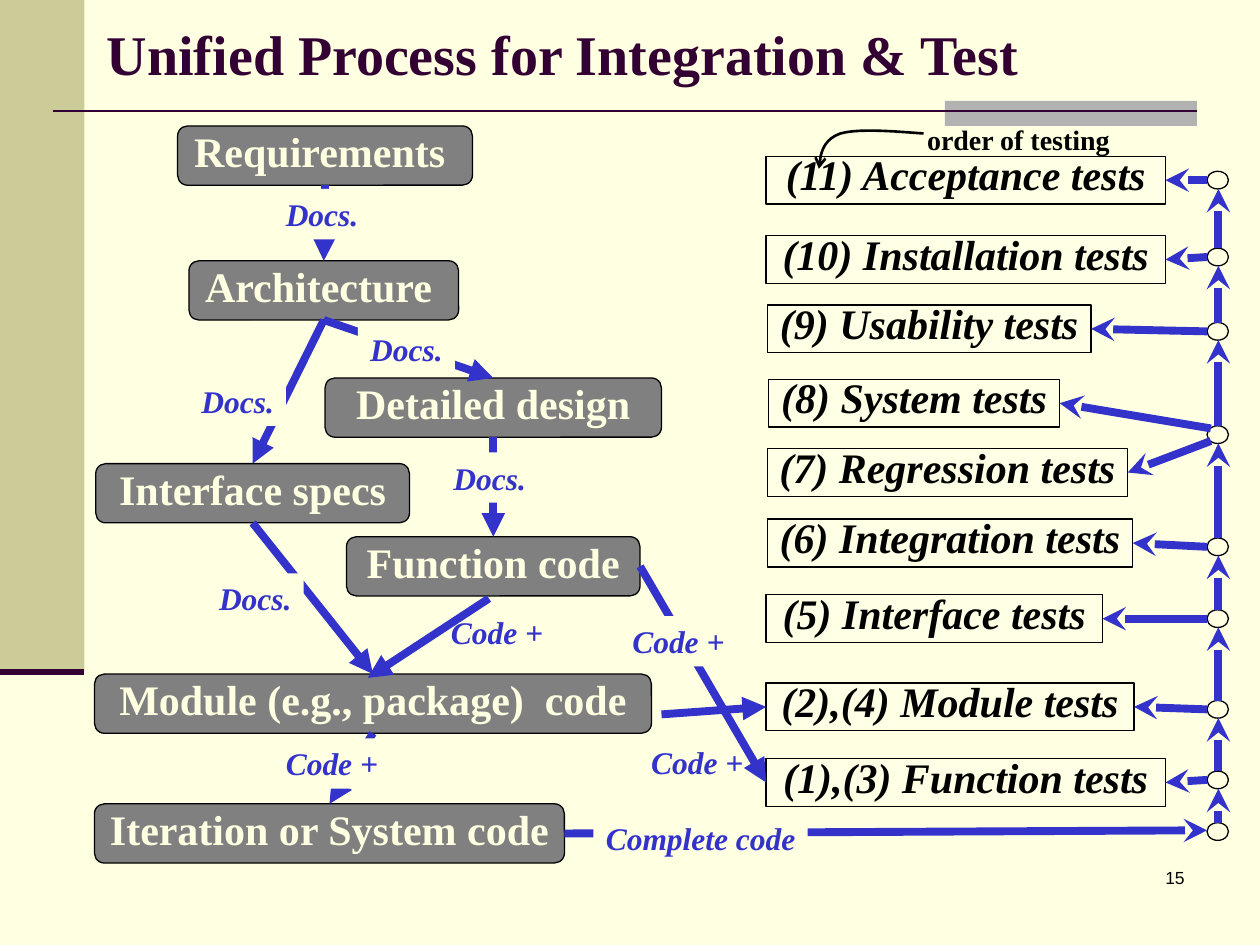
import pptx
import pptx.util
import pptx.dml.color
import pptx.enum.shapes
import pptx.enum.text
import pptx.oxml.ns
import lxml.etree

Cm = pptx.util.Cm
Pt = pptx.util.Pt
Kind = pptx.enum.shapes.MSO_SHAPE
Align = pptx.enum.text.PP_ALIGN
Anchor = pptx.enum.text.MSO_ANCHOR
qn = pptx.oxml.ns.qn
rgb = pptx.dml.color.RGBColor.from_string

hues = {
    "page": "FFFFE1", "test": "FFFFE5", "band": "CCCC99", "bar": "B2B2B2",
    "plum": "330033", "step": "808080", "flow": "3333CC", "ink": "000000",
}
unit = 2.54

deck = pptx.Presentation()
deck.slide_width, deck.slide_height = Cm(25.4), Cm(19.05)
slide = deck.slides.add_slide(deck.slide_layouts[6])
slide.background.fill.solid()
slide.background.fill.fore_color.rgb = rgb(hues["page"])


def put(kind, spot, fill=None, edge=None, text="", size=24, hue="ink", bold=True,
        slant=False, align=Align.LEFT, anchor=Anchor.TOP, lead=1.0, wrap=False):
    place = [Cm(unit * v) for v in spot]
    if fill:
        shape = slide.shapes.add_shape(kind, *place)
        shape.shadow.inherit = False
        shape.fill.solid()
        shape.fill.fore_color.rgb = rgb(hues[fill])
        if edge:
            shape.line.color.rgb = rgb(hues[edge])
            shape.line.width = Pt(0.75)
        else:
            shape.line.fill.background()
    else:
        shape = slide.shapes.add_textbox(*place)
    if text:
        frame = shape.text_frame
        frame.word_wrap = wrap
        frame.vertical_anchor = anchor
        para = frame.paragraphs[0]
        para.text = text
        para.alignment = align
        para.line_spacing = lead
        font = para.font
        font.name = "Times New Roman" if bold else "Arial"
        font.size, font.bold, font.italic = Pt(size), bold, slant
        font.color.rgb = rgb(hues[hue])
    return shape


def link(start, end, head=None, hue="flow", width=4.5):
    ends = []
    for part in (start, end):
        ends += [0, 0] if hasattr(part[0], "shape_id") else [Cm(unit * v) for v in part]
    line = slide.shapes.add_connector(pptx.enum.shapes.MSO_CONNECTOR.STRAIGHT, *ends)
    if hasattr(start[0], "shape_id"):
        line.begin_connect(*start)
    if hasattr(end[0], "shape_id"):
        line.end_connect(*end)
    line.line.color.rgb = rgb(hues[hue])
    line.line.width = Pt(width)
    props = line.element.spPr
    if head:
        lxml.etree.SubElement(props.find(qn("a:ln")), qn("a:tailEnd"), type=head)
    lxml.etree.SubElement(props, qn("a:effectLst"))


put(Kind.RECTANGLE, (0, 0, 0.67, 5.33), "band")
put(Kind.RECTANGLE, (7.5, 0.8, 2, 0.2), "bar")
link((0.42, 0.88), (9.5, 0.88), hue="plum", width=1.5)
link((0, 5.33), (0.67, 5.33), hue="plum", width=3.5)
put(None, (0.75, 0.25, 8.42, 0.48), text="Unified Process for Integration & Test",
    size=32, hue="plum", lead=0.7, wrap=True)

steps = {}
for name, left, top, wide, text in [
    ("need", 1.41, 1, 2.34, "Requirements "),
    ("arch", 1.5, 2.07, 2.14, "Architecture "),
    ("plan", 2.58, 3, 2.67, "Detailed design"),
    ("specs", 0.76, 3.68, 2.49, "Interface specs"),
    ("func", 2.75, 4.26, 2.33, "Function code"),
    ("mod", 0.75, 5.35, 4.42, "Module (e.g., package)  code"),
    ("whole", 0.75, 6.38, 3.73, "Iteration or System code"),
]:
    steps[name] = put(Kind.ROUNDED_RECTANGLE, (left, top, wide, 0.47), "step", "ink", text,
                      hue="page", align=Align.CENTER, anchor=Anchor.MIDDLE, lead=0.8)

dots = [1.43, 2.04, 2.63, 3.45, 4.34, 4.91, 5.63, 6.19, 6.6]
for mid in dots:
    put(Kind.OVAL, (9.58, mid - 0.07, 0.17, 0.14), "page", "ink")
for high, low in zip(dots, dots[1:]):
    link((9.67, low - 0.07), (9.67, high + 0.07), "stealth")

tests = []
for left, top, wide, text, start in [
    (6.08, 1.24, 3.17, "(11) Acceptance tests", (9.58, dots[0])),
    (6.08, 1.87, 3.17, "(10) Installation tests", (9.58, dots[1])),
    (6.09, 2.42, 2.57, "(9) Usability tests", (9.58, dots[2])),
    (6.1, 3.01, 2.31, "(8) System tests", (9.61, dots[3] - 0.05)),
    (6.09, 3.56, 2.86, "(7) Regression tests", (9.61, dots[3] + 0.05)),
    (6.09, 4.12, 2.9, "(6) Integration tests", (9.58, dots[4])),
    (6.08, 4.72, 2.67, "(5) Interface tests", (9.58, dots[5])),
    (6.08, 5.42, 2.92, "(2),(4) Module tests", (9.58, dots[6])),
    (6.08, 6.02, 3.17, "(1),(3) Function tests", (9.58, dots[7])),
]:
    test = put(Kind.RECTANGLE, (left, top, wide, 0.38), "test", "ink", text, slant=True,
               align=Align.CENTER, anchor=Anchor.MIDDLE, lead=0.7)
    link(start, (test, 3), "stealth")
    tests.append(test)

for tail, tip in [("need", "arch"), ("arch", "plan"), ("arch", "specs"),
                  ("plan", "func"), ("specs", "mod"), ("mod", "whole")]:
    link((steps[tail], 2), (steps[tip], 0), "triangle")
link((steps["whole"], 3), (9.58, 6.59), "stealth")

for left, top, wide, text in [
    (2.17, 1.5, 0.77, "Docs."), (2.84, 2.57, 0.77, "Docs."), (1.5, 2.98, 0.77, "Docs."),
    (3.5, 3.59, 0.77, "Docs."), (1.64, 4.55, 0.77, "Docs."), (3.48, 4.82, 0.93, "Code +"),
    (2.17, 5.86, 0.93, "Code +"), (5.07, 5.85, 0.93, "Code +"), (4.71, 6.45, 1.7, "Complete code"),
]:
    put(Kind.RECTANGLE, (left, top, wide, 0.4), "page", text=text, size=18, hue="flow", slant=True)

link((5.25, 5.67), (tests[7], 1), "triangle")
link((steps["func"], 3), (tests[8], 1), "triangle")
put(Kind.RECTANGLE, (4.92, 4.89, 0.93, 0.4), "page", text="Code +", size=18, hue="flow", slant=True)
link((3.88, 4.75), (2.92, 5.38), "triangle")

put(None, (7.26, 0.92, 1.65, 0.37), text="order of testing", size=16)
bends = [
    ((7.33, 1.06), (7.07, 1.04), (6.81, 1.02), (6.67, 1.06)),
    ((6.67, 1.06), (6.53, 1.11), (6.51, 1.22), (6.5, 1.34)),
]
count = 10
points = []
for bend in bends:
    for step in range(1, count + 1):
        t = step / count
        parts = ((1 - t) ** 3, 3 * t * (1 - t) ** 2, 3 * t * t * (1 - t), t ** 3)
        points.append([Cm(unit * sum(p * c for p, c in zip(parts, axis))) for axis in zip(*bend)])
pen = slide.shapes.build_freeform(*[Cm(unit * v) for v in bends[0][0]])
pen.add_line_segments(points, close=False)
curve = pen.convert_to_shape()
curve.shadow.inherit = False
curve.fill.background()
curve.line.color.rgb = rgb(hues["ink"])
curve.line.width = Pt(1.5)
lxml.etree.SubElement(curve.element.spPr.find(qn("a:ln")), qn("a:tailEnd"), type="arrow")

put(None, (7.42, 6.83, 2.08, 0.5), text="15", size=10, bold=False, align=Align.RIGHT, wrap=True)

deck.save("out.pptx")
